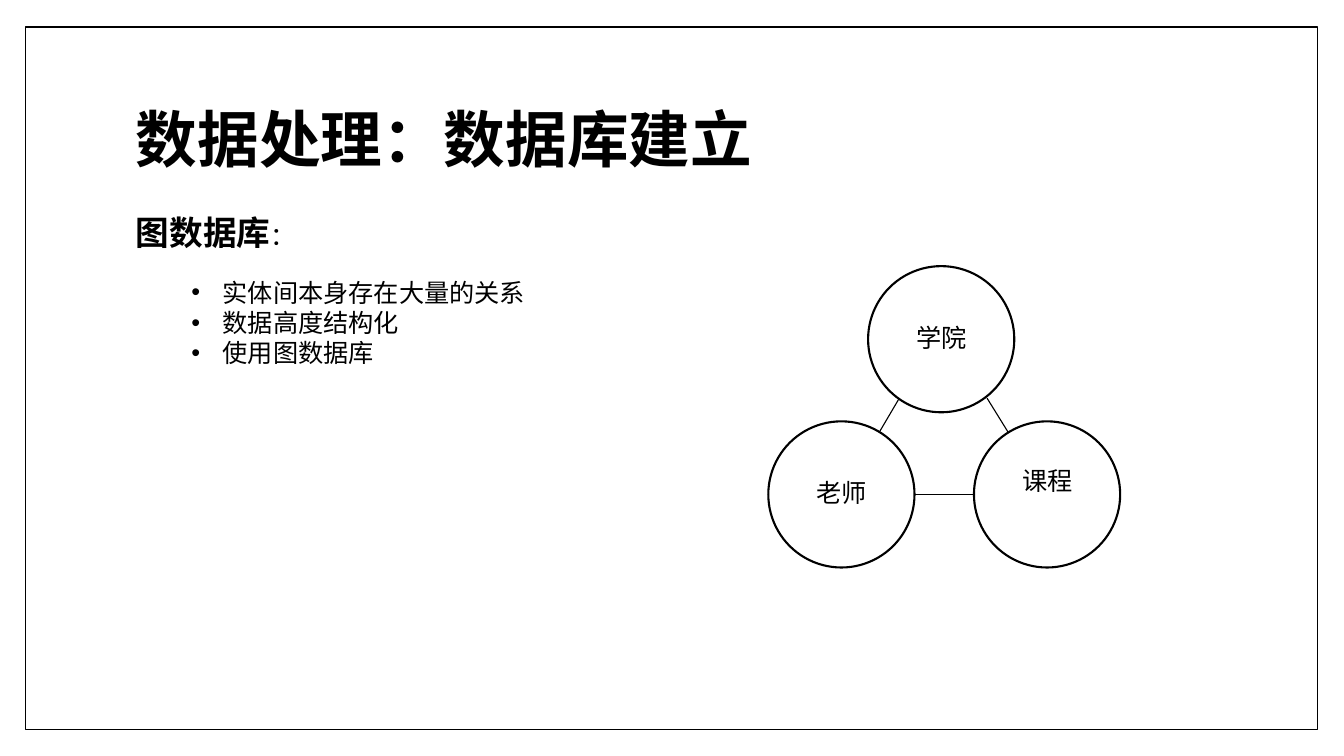
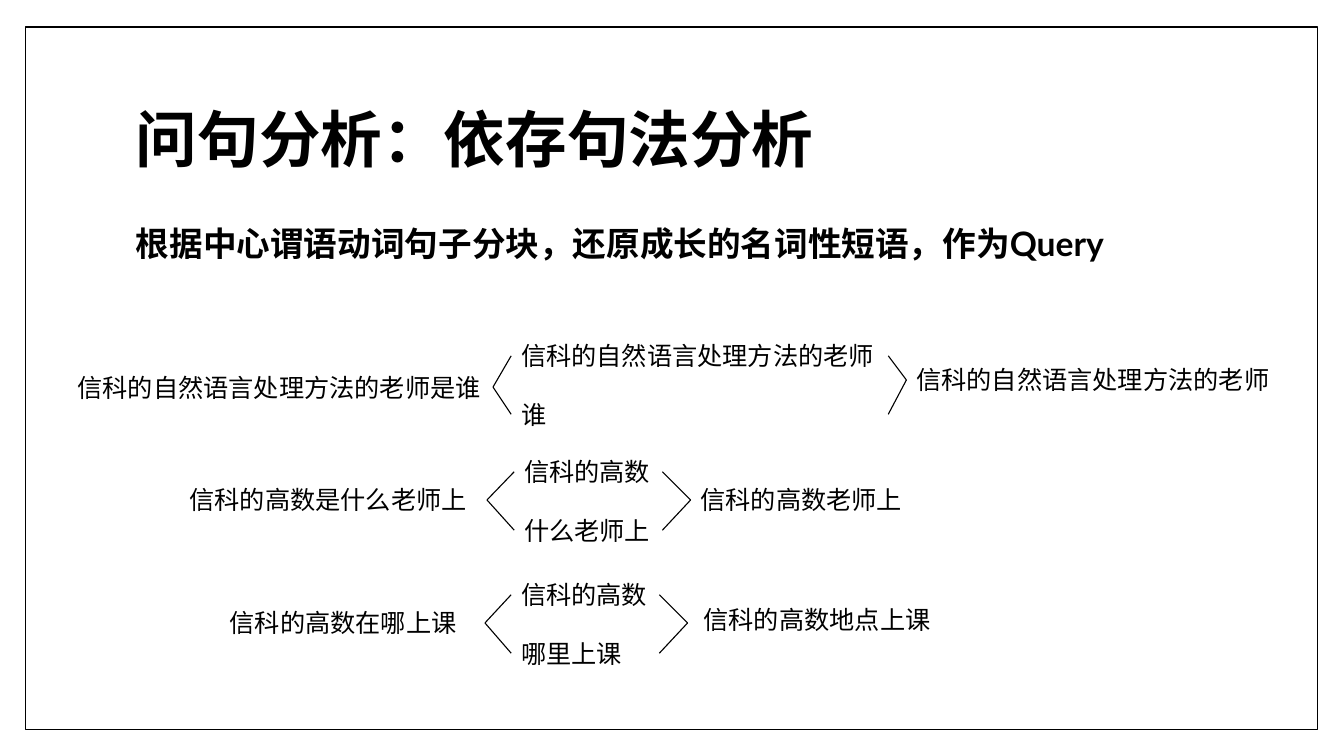
import dataclasses

import lxml.etree
import pptx
import pptx.dml.color
import pptx.enum.shapes
import pptx.enum.text
import pptx.oxml.ns
import pptx.util

Inches = pptx.util.Inches
Pt = pptx.util.Pt

BLACK = pptx.dml.color.RGBColor(0x00, 0x00, 0x00)
WHITE = pptx.dml.color.RGBColor(0xFF, 0xFF, 0xFF)
FONT = "Lato"
TITLE_SIZE, HEADING_SIZE, BODY_SIZE = 44, 24, 18
LINE_HEIGHT = 0.4
BULLET_INDENT = 0.31
CIRCLE_SIZE = 1.45
CHUNK_PITCH = 0.58


@dataclasses.dataclass
class SplitRow:
    """One question, its two chunks and the query; offsets count from the row's corner."""
    left: float
    top: float
    question: str
    question_width: float
    question_drop: float
    split_offset: float
    chunks: tuple
    chunk_offset: float
    chunk_width: float
    query: str
    query_offset: float
    query_width: float
    query_drop: float
    merge_offset: float
    merge_drop: float


SPLIT_ROWS = [
    SplitRow(0.67, 3.33, "信科的自然语言处理方法的老师是谁", 4.22, 0.31, 4.22,
             ("信科的自然语言处理方法的老师", "谁"), 4.4, 3.74,
             "信科的自然语言处理方法的老师", 8.32, 3.74, 0.24, 8.32, 0.44),
    SplitRow(1.78, 4.48, "信科的高数是什么老师上", 3.05, 0.28, 3.05,
             ("信科的高数", "什么老师上"), 3.32, 1.47,
             "信科的高数老师上", 5.07, 2.26, 0.28, 5.07, 0.48),
    SplitRow(2.18, 5.7, "信科的高数在哪上课", 3.46, 0.28, 2.63,
             ("信科的高数", "哪里上课"), 2.89, 1.47,
             "信科的高数地点上课", 4.7, 2.64, 0.25, 4.64, 0.48),
]


def add_run(paragraph, text, size=BODY_SIZE, bold=False):
    """Append a run in the deck's font."""
    run = paragraph.add_run()
    run.text = text
    run.font.name = FONT
    run.font.size = Pt(size)
    run.font.bold = bold
    run.font.color.rgb = BLACK


def add_text_box(slide, left, top, width, height=LINE_HEIGHT):
    """Add an empty wrapping text box that grows with its text."""
    box = slide.shapes.add_textbox(Inches(left), Inches(top), Inches(width), Inches(height))
    box.text_frame.word_wrap = True
    box.text_frame.auto_size = pptx.enum.text.MSO_AUTO_SIZE.SHAPE_TO_FIT_TEXT
    return box.text_frame


def add_label(slide, text, left, top, width):
    """Add one line of body text."""
    add_run(add_text_box(slide, left, top, width).paragraphs[0], text)


def add_outlined_shape(slide, kind, left, top, width, height, line_width):
    """Add a white shape with a black outline."""
    shape = slide.shapes.add_shape(kind, Inches(left), Inches(top), Inches(width), Inches(height))
    shape.shadow.inherit = False
    shape.fill.solid()
    shape.fill.fore_color.rgb = WHITE
    shape.line.color.rgb = BLACK
    shape.line.width = Pt(line_width)


def add_line(slide, start, end):
    """Draw a thin black line between two points."""
    connector = slide.shapes.add_connector(
        pptx.enum.shapes.MSO_CONNECTOR.STRAIGHT, *map(Inches, start + end))
    connector.line.color.rgb = BLACK
    connector.line.width = Pt(0.79)
    lxml.etree.SubElement(connector._element.spPr, pptx.oxml.ns.qn("a:effectLst"))


def add_framed_slide(presentation, title):
    """Start a slide with the shared frame and title."""
    slide = presentation.slides.add_slide(presentation.slide_layouts[6])
    add_outlined_shape(slide, pptx.enum.shapes.MSO_SHAPE.RECTANGLE, 0.25, 0.27, 12.82, 6.97, 1)
    frame = add_text_box(slide, 1.25, 0.67, 10.8, 1.48)
    frame.auto_size = pptx.enum.text.MSO_AUTO_SIZE.NONE
    frame.vertical_anchor = pptx.enum.text.MSO_ANCHOR.MIDDLE
    frame.paragraphs[0].line_spacing = 0.9
    add_run(frame.paragraphs[0], title, TITLE_SIZE, True)
    return slide


def add_heading(slide, text, top, width):
    """Add the bold heading under the title and return its paragraph."""
    paragraph = add_text_box(slide, 1.25, top, width, 0.5).paragraphs[0]
    add_run(paragraph, text, HEADING_SIZE, True)
    return paragraph


def add_bullets(slide, items, left, top, width, height):
    """Add a bulleted list."""
    frame = add_text_box(slide, left, top, width, height)
    for index, item in enumerate(items):
        paragraph = frame.add_paragraph() if index else frame.paragraphs[0]
        properties = paragraph._p.get_or_add_pPr()
        properties.set("marL", str(Inches(BULLET_INDENT)))
        properties.set("indent", str(-Inches(BULLET_INDENT)))
        font = lxml.etree.SubElement(properties, pptx.oxml.ns.qn("a:buFont"))
        font.set("typeface", "Arial")
        bullet = lxml.etree.SubElement(properties, pptx.oxml.ns.qn("a:buChar"))
        bullet.set("char", "•")
        add_run(paragraph, item)


def add_entity_graph(slide, left, top):
    """Draw the triangle of linked entities."""
    entities = [("学院", 0.99, 0, 0.51), ("老师", 0, 1.54, 0.51), ("课程", 2.04, 1.54, 0.39)]
    links = [((1.3, 1.31), (1.1, 1.65)), ((2.17, 1.31), (2.38, 1.65)),
             ((CIRCLE_SIZE, 2.27), (2.04, 2.27))]
    for name, across, down, label_drop in entities:
        add_outlined_shape(slide, pptx.enum.shapes.MSO_SHAPE.OVAL, left + across, top + down,
                           CIRCLE_SIZE, CIRCLE_SIZE, 1.5)
        add_label(slide, name, left + across + 0.38, top + down + label_drop, 1.01)
    for (start_x, start_y), (end_x, end_y) in links:
        add_line(slide, (left + start_x, top + start_y), (left + end_x, top + end_y))


def add_split_row(slide, row):
    """Lay out a question, its chunks, the query and the angles between them."""
    chunk_left = row.left + row.chunk_offset
    chunk_right = chunk_left + row.chunk_width
    split_tip = (row.left + row.split_offset, row.top + row.question_drop + LINE_HEIGHT / 2)
    merge_tip = (row.left + row.merge_offset, row.top + row.merge_drop)
    add_label(slide, row.question, row.left, row.top + row.question_drop, row.question_width)
    for index, chunk in enumerate(row.chunks):
        chunk_top = row.top + index * CHUNK_PITCH
        chunk_middle = chunk_top + LINE_HEIGHT / 2
        add_label(slide, chunk, chunk_left, chunk_top, row.chunk_width)
        add_line(slide, split_tip, (chunk_left, chunk_middle))
        add_line(slide, (chunk_right, chunk_middle), merge_tip)
    add_label(slide, row.query, row.left + row.query_offset, row.top + row.query_drop,
              row.query_width)


def build_database_slide(presentation):
    """Build the slide on setting up the database."""
    slide = add_framed_slide(presentation, "数据处理：数据库建立")
    heading = add_heading(slide, "图数据库", 2.05, 2.18)
    add_run(heading, "：")
    add_entity_graph(slide, 7.62, 2.64)
    add_bullets(slide, ["实体间本身存在大量的关系", "数据高度结构化", "使用图数据库"],
                1.8, 2.7, 4.28, 1.01)


def build_parsing_slide(presentation):
    """Build the slide on dependency parsing."""
    slide = add_framed_slide(presentation, "问句分析：依存句法分析")
    add_heading(slide, "根据中心谓语动词句子分块，还原成长的名词性短语，作为Query", 2.16, 10.12)
    for row in SPLIT_ROWS:
        add_split_row(slide, row)


def main():
    """Build and save the presentation."""
    presentation = pptx.Presentation()
    presentation.slide_width = Inches(13.33)
    presentation.slide_height = Inches(7.5)
    build_database_slide(presentation)
    build_parsing_slide(presentation)
    presentation.save("out.pptx")


main()
